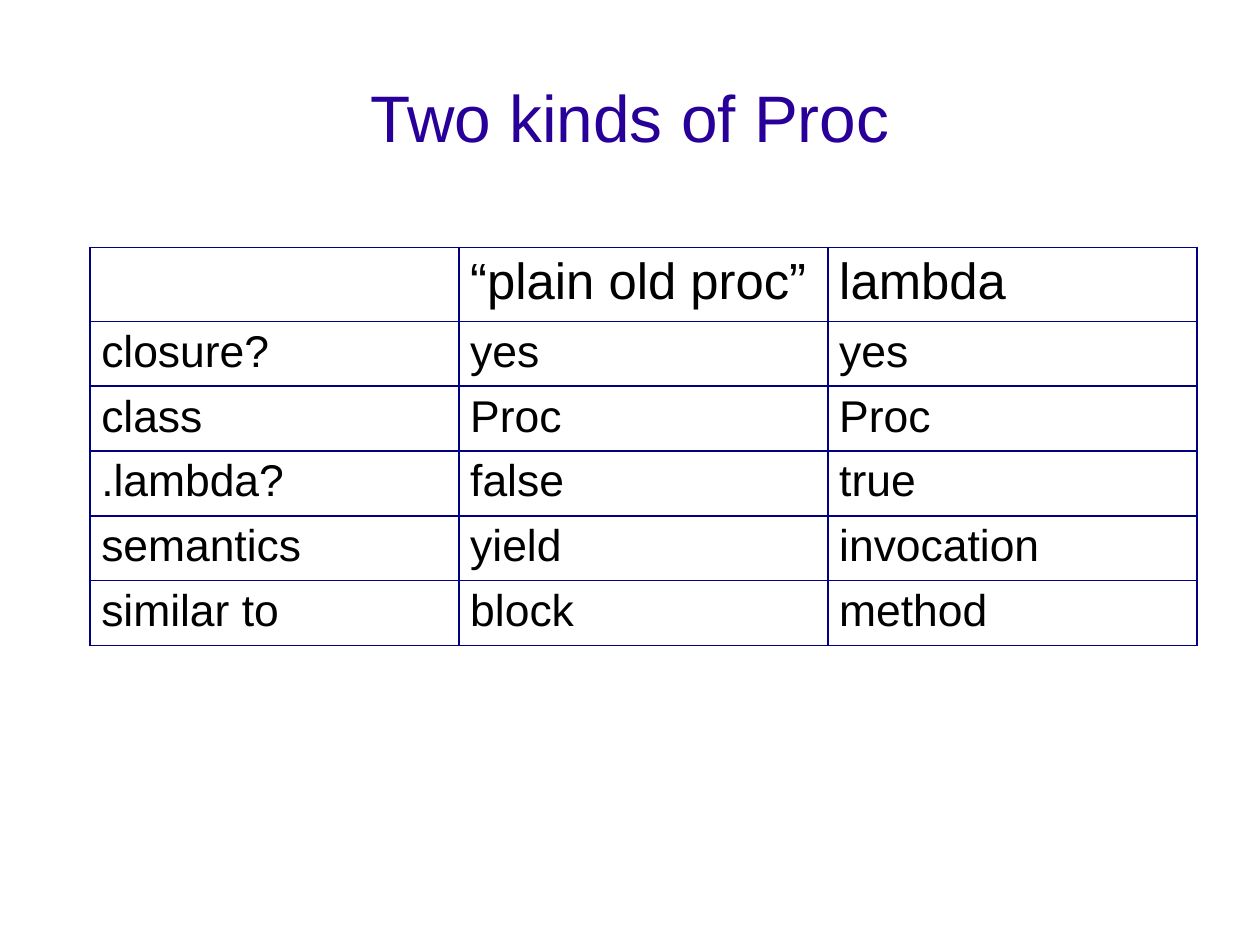
from lxml import etree
from pptx import Presentation
from pptx.dml.color import RGBColor
from pptx.enum.text import MSO_ANCHOR, MSO_AUTO_SIZE, PP_ALIGN
from pptx.oxml.ns import qn
from pptx.util import Cm, Pt

LEFT, CENTER = PP_ALIGN.LEFT, PP_ALIGN.CENTER
TOP, MIDDLE = MSO_ANCHOR.TOP, MSO_ANCHOR.MIDDLE
NO_AUTOFIT = MSO_AUTO_SIZE.NONE

PURPLE = RGBColor(0x28, 0x00, 0x99)
NAVY = RGBColor(0x00, 0x00, 0x80)
BLACK = RGBColor(0x00, 0x00, 0x00)
WHITE = RGBColor(0xFF, 0xFF, 0xFF)

COMPARISON = [
    ("", "“plain old proc”", "lambda"),
    ("closure?", "yes", "yes"),
    ("class", "Proc", "Proc"),
    (".lambda?", "false", "true"),
    ("semantics", "yield", "invocation"),
    ("similar to", "block", "method"),
]


def write(frame, text, size, color=BLACK, align=LEFT):
    paragraph = frame.paragraphs[0]
    paragraph.alignment = align
    paragraph.font.size = Pt(size)
    if text:
        run = paragraph.add_run()
        run.text = text
        run.font.name = "Arial"
        run.font.size = Pt(size)
        run.font.color.rgb = color


def add_borders(cell, color, width):
    properties = cell._tc.get_or_add_tcPr()
    for side in ("a:lnL", "a:lnR", "a:lnT", "a:lnB"):
        border = etree.SubElement(properties, qn(side), w=str(Pt(width)))
        fill = etree.SubElement(border, qn("a:solidFill"))
        etree.SubElement(fill, qn("a:srgbClr"), val=str(color))


deck = Presentation()
deck.slide_width, deck.slide_height = Cm(28), Cm(21)
slide = deck.slides.add_slide(deck.slide_layouts[5])

title = slide.shapes.title
title.left, title.top, title.width, title.height = Cm(1.4), Cm(0.84), Cm(25.2), Cm(3.5)
heading = title.text_frame
heading.margin_left = heading.margin_right = heading.margin_top = heading.margin_bottom = 0
heading.vertical_anchor = MIDDLE
heading.auto_size = NO_AUTOFIT
write(heading, "Two kinds of Proc", size=41.4, color=PURPLE, align=CENTER)

header_height, row_height = Cm(1.62), Cm(1.44)
table = slide.shapes.add_table(
    len(COMPARISON), 3, Cm(2), Cm(5.5), Cm(24.6),
    header_height + row_height * (len(COMPARISON) - 1),
).table
table.first_row = False
table.horz_banding = False

for row_index, labels in enumerate(COMPARISON):
    is_header = row_index == 0
    table.rows[row_index].height = header_height if is_header else row_height
    for column_index, label in enumerate(labels):
        cell = table.cell(row_index, column_index)
        cell.margin_left = cell.margin_right = Cm(0.25)
        cell.margin_top = cell.margin_bottom = Cm(0.13)
        cell.vertical_anchor = TOP
        add_borders(cell, NAVY, width=1.13)
        cell.fill.solid()
        cell.fill.fore_color.rgb = WHITE
        write(cell.text_frame, label, size=32 if is_header else 28)

deck.save("out.pptx")
